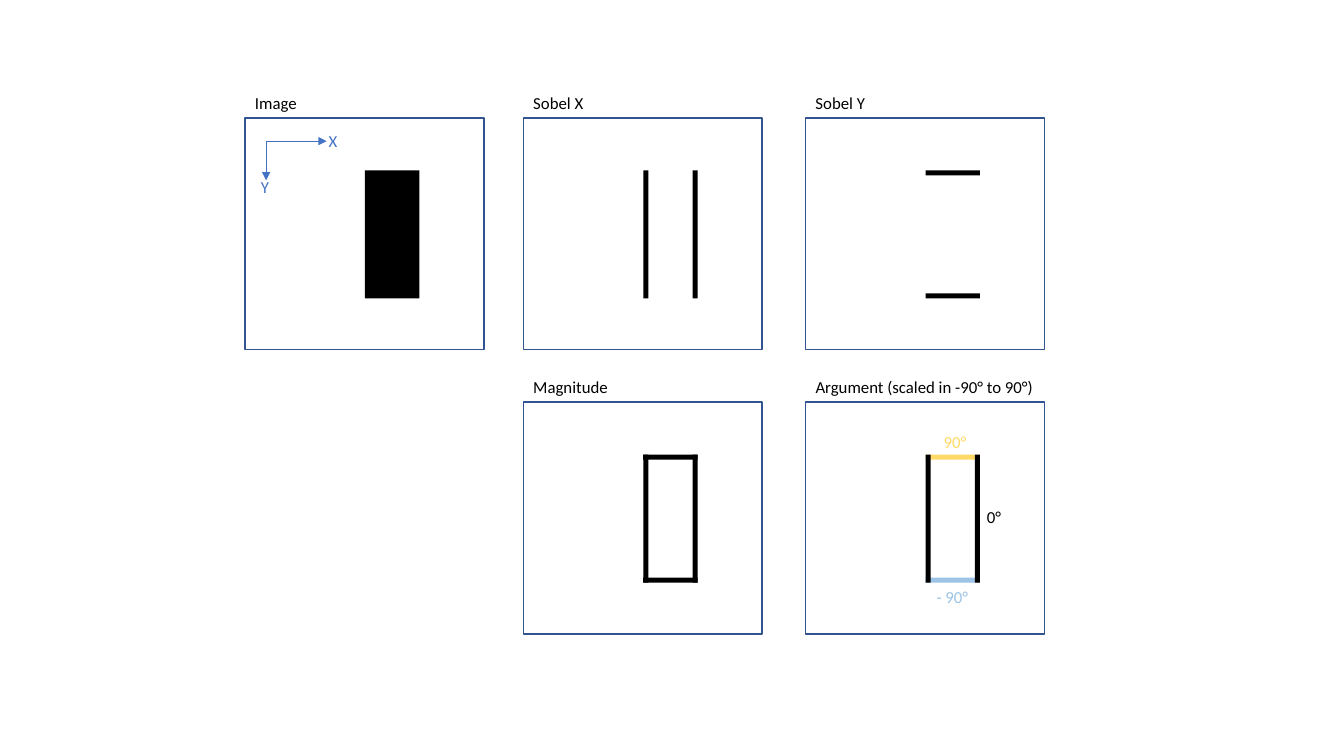
"""Build a slide showing Sobel gradients, magnitude and argument of a rectangle."""
from lxml.etree import SubElement
from pptx import Presentation
from pptx.dml.color import RGBColor
from pptx.enum.shapes import MSO_CONNECTOR, MSO_SHAPE
from pptx.enum.text import MSO_AUTO_SIZE
from pptx.oxml.ns import qn
from pptx.util import Inches, Pt

BLACK, FRAME, AXIS = "000000", "325491", "4472C4"
YELLOW, LIGHT_BLUE = "FFD966", "9DC3E6"
PANEL_WIDTH, PANEL_HEIGHT = 2.37, 2.3
LABEL_HEIGHT = 0.3
OBJECT_X, OBJECT_Y = 1.19, 0.52
OBJECT_WIDTH, OBJECT_HEIGHT = 0.54, 1.27
EDGE = 0.05

presentation = Presentation()
presentation.slide_width = Inches(13.33)
presentation.slide_height = Inches(7.5)
slide = presentation.slides.add_slide(presentation.slide_layouts[6])


def add_rectangle(left, top, width, height, fill=None):
    """Add a filled rectangle, or an outlined frame when no fill is given."""
    shape = slide.shapes.add_shape(
        MSO_SHAPE.RECTANGLE, Inches(left), Inches(top), Inches(width), Inches(height))
    shape.shadow.inherit = False
    if fill:
        shape.fill.solid()
        shape.fill.fore_color.rgb = RGBColor.from_string(fill)
        shape.line.fill.background()
    else:
        shape.fill.background()
        shape.line.color.rgb = RGBColor.from_string(FRAME)
        shape.line.width = Pt(1)


def add_label(text, left, top, width, color=BLACK):
    """Add a one-line label."""
    box = slide.shapes.add_textbox(
        Inches(left), Inches(top), Inches(width), Inches(LABEL_HEIGHT))
    frame = box.text_frame
    frame.word_wrap = False
    frame.auto_size = MSO_AUTO_SIZE.SHAPE_TO_FIT_TEXT
    run = frame.paragraphs[0].add_run()
    run.text = text
    run.font.name = "Calibri"
    run.font.size = Pt(12)
    run.font.color.rgb = RGBColor.from_string(color)


columns = [2.43, 5.19, 7.99]
rows = [1.17, 3.99]
edge_boxes = {
    "whole": (0, 0, OBJECT_WIDTH, OBJECT_HEIGHT),
    "top": (0, 0, OBJECT_WIDTH, EDGE),
    "bottom": (0, OBJECT_HEIGHT - EDGE, OBJECT_WIDTH, EDGE),
    "left": (0, 0, EDGE, OBJECT_HEIGHT),
    "right": (OBJECT_WIDTH - EDGE, 0, EDGE, OBJECT_HEIGHT),
}
vertical_edges = {"left": BLACK, "right": BLACK}
horizontal_edges = {"top": BLACK, "bottom": BLACK}
panels = [
    ("Image", 0, 0, 0.62, {"whole": BLACK}),
    ("Sobel X", 1, 0, 0.71, vertical_edges),
    ("Sobel Y", 2, 0, 0.7, horizontal_edges),
    ("Magnitude", 1, 1, 0.95, horizontal_edges | vertical_edges),
    ("Argument (scaled in -90° to 90°)", 2, 1, 2.39,
     {"top": YELLOW, "bottom": LIGHT_BLUE} | vertical_edges),
]
for title, column, row, title_width, edges in panels:
    panel_left, panel_top = columns[column], rows[row]
    add_rectangle(panel_left, panel_top, PANEL_WIDTH, PANEL_HEIGHT)
    add_label(title, panel_left, panel_top - LABEL_HEIGHT, title_width)
    for edge, color in edges.items():
        x, y, width, height = edge_boxes[edge]
        add_rectangle(panel_left + OBJECT_X + x, panel_top + OBJECT_Y + y,
                      width, height, color)

origin_x, origin_y = 2.64, 1.4
for end_x, end_y in [(3.24, origin_y), (origin_x, 1.79)]:
    arrow = slide.shapes.add_connector(
        MSO_CONNECTOR.STRAIGHT, Inches(origin_x), Inches(origin_y),
        Inches(end_x), Inches(end_y))
    arrow.line.color.rgb = RGBColor.from_string(AXIS)
    arrow.line.width = Pt(0.5)
    SubElement(arrow.line._get_or_add_ln(), qn("a:tailEnd"), type="triangle")
    SubElement(arrow._element.spPr, qn("a:effectLst"))

for text, left, top, width, color in [
    ("X", 3.16, 1.25, 0.29, AXIS),
    ("Y", 2.49, 1.7, 0.29, AXIS),
    ("0°", 9.69, 4.98, 0.35, BLACK),
    ("- 90°", 9.19, 5.77, 0.52, LIGHT_BLUE),
    ("90°", 9.26, 4.23, 0.43, YELLOW),
]:
    add_label(text, left, top, width, color)

presentation.save("out.pptx")
